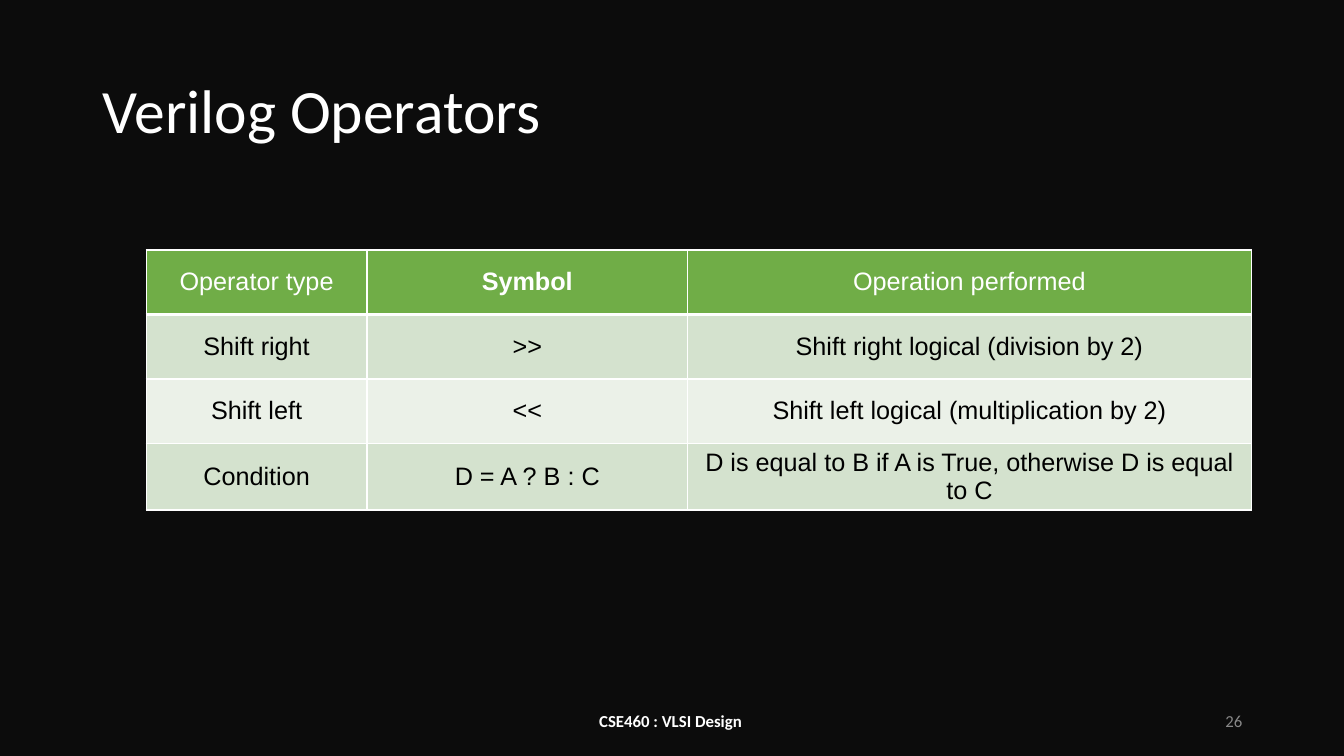
from dataclasses import dataclass

from lxml import etree
from pptx import Presentation
from pptx.dml.color import RGBColor
from pptx.enum.text import MSO_ANCHOR, PP_ALIGN
from pptx.oxml.ns import qn
from pptx.slide import Slide
from pptx.table import _Cell
from pptx.text.text import _Paragraph
from pptx.util import Inches, Pt

LEFT, CENTER, RIGHT = PP_ALIGN.LEFT, PP_ALIGN.CENTER, PP_ALIGN.RIGHT
MIDDLE = MSO_ANCHOR.MIDDLE

NIGHT = RGBColor(0x0C, 0x0C, 0x0C)
WHITE = RGBColor(0xFF, 0xFF, 0xFF)
BLACK = RGBColor(0x00, 0x00, 0x00)
GRAY = RGBColor(0x88, 0x88, 0x88)
GREEN = RGBColor(0x70, 0xAD, 0x47)
BAND_DARK = RGBColor(0xD4, 0xE2, 0xCE)
BAND_LIGHT = RGBColor(0xEB, 0xF1, 0xE8)


@dataclass(frozen=True)
class TextStyle:
    font: str
    size: int
    color: RGBColor
    bold: bool = False
    align: PP_ALIGN = CENTER
    line_spacing: float = 1.0


@dataclass(frozen=True)
class Caption:
    text: str
    left: float
    top: float
    width: float
    height: float
    style: TextStyle


CAPTIONS = (
    Caption("Verilog Operators", 0.92, 0.4, 11.5, 1.45,
            TextStyle("Calibri", 44, WHITE, align=LEFT, line_spacing=0.9)),
    Caption("26", 9.42, 6.95, 3, 0.4,
            TextStyle("Calibri", 12, GRAY, align=RIGHT)),
    Caption("CSE460 : VLSI Design ", 4.42, 6.95, 4.5, 0.4,
            TextStyle("Calibri", 12, WHITE, bold=True)),
)

OPERATORS = (
    ("Operator type", "Symbol", "Operation performed"),
    ("Shift right", ">>", "Shift right logical (division by 2)"),
    ("Shift left", "<<", "Shift left logical (multiplication by 2)"),
    ("Condition", "D = A ? B : C",
     "D is equal to B if A is True, otherwise D is equal to C"),
)
COLUMN_WIDTHS = (2.19, 3.18, 5.59)
ROW_HEIGHT = 0.64
SYMBOL_COLUMN = 1


def write(paragraph: _Paragraph, text: str, style: TextStyle) -> None:
    paragraph.alignment = style.align
    paragraph.line_spacing = style.line_spacing
    run = paragraph.add_run()
    run.text = text
    run.font.name = style.font
    run.font.size = Pt(style.size)
    run.font.bold = style.bold
    run.font.color.rgb = style.color


def add_caption(slide: Slide, caption: Caption) -> None:
    box = slide.shapes.add_textbox(Inches(caption.left), Inches(caption.top),
                                   Inches(caption.width), Inches(caption.height))
    frame = box.text_frame
    frame.word_wrap = True
    frame.vertical_anchor = MIDDLE
    write(frame.paragraphs[0], caption.text, caption.style)


def set_borders(cell: _Cell, top: int, bottom: int) -> None:
    properties = cell._tc.get_or_add_tcPr()
    widths = {"a:lnL": 1, "a:lnR": 1, "a:lnT": top, "a:lnB": bottom}
    for position, (side, width) in enumerate(widths.items()):
        line = etree.Element(qn(side), w=str(Pt(width)))
        fill = etree.SubElement(line, qn("a:solidFill"))
        etree.SubElement(fill, qn("a:srgbClr"), val=str(WHITE))
        properties.insert(position, line)


def add_operator_table(slide: Slide) -> None:
    table = slide.shapes.add_table(
        len(OPERATORS), len(COLUMN_WIDTHS), Inches(1.45), Inches(2.48),
        Inches(sum(COLUMN_WIDTHS)), Inches(ROW_HEIGHT * len(OPERATORS))).table
    for column, width in zip(table.columns, COLUMN_WIDTHS):
        column.width = Inches(width)
    for row, texts in enumerate(OPERATORS):
        table.rows[row].height = Inches(ROW_HEIGHT)
        header = row == 0
        band = GREEN if header else BAND_DARK if row % 2 else BAND_LIGHT
        for column, text in enumerate(texts):
            cell = table.cell(row, column)
            cell.vertical_anchor = MIDDLE
            cell.fill.solid()
            cell.fill.fore_color.rgb = band
            set_borders(cell, top=3 if row == 1 else 1, bottom=3 if header else 1)
            style = TextStyle("Arial", 18, WHITE if header else BLACK,
                              bold=header and column == SYMBOL_COLUMN)
            write(cell.text_frame.paragraphs[0], text, style)


def main() -> None:
    deck = Presentation()
    deck.slide_width, deck.slide_height = Inches(13.33), Inches(7.5)
    slide = deck.slides.add_slide(deck.slide_layouts[6])
    slide.background.fill.solid()
    slide.background.fill.fore_color.rgb = NIGHT
    add_operator_table(slide)
    for caption in CAPTIONS:
        add_caption(slide, caption)
    deck.save("out.pptx")


if __name__ == "__main__":
    main()
